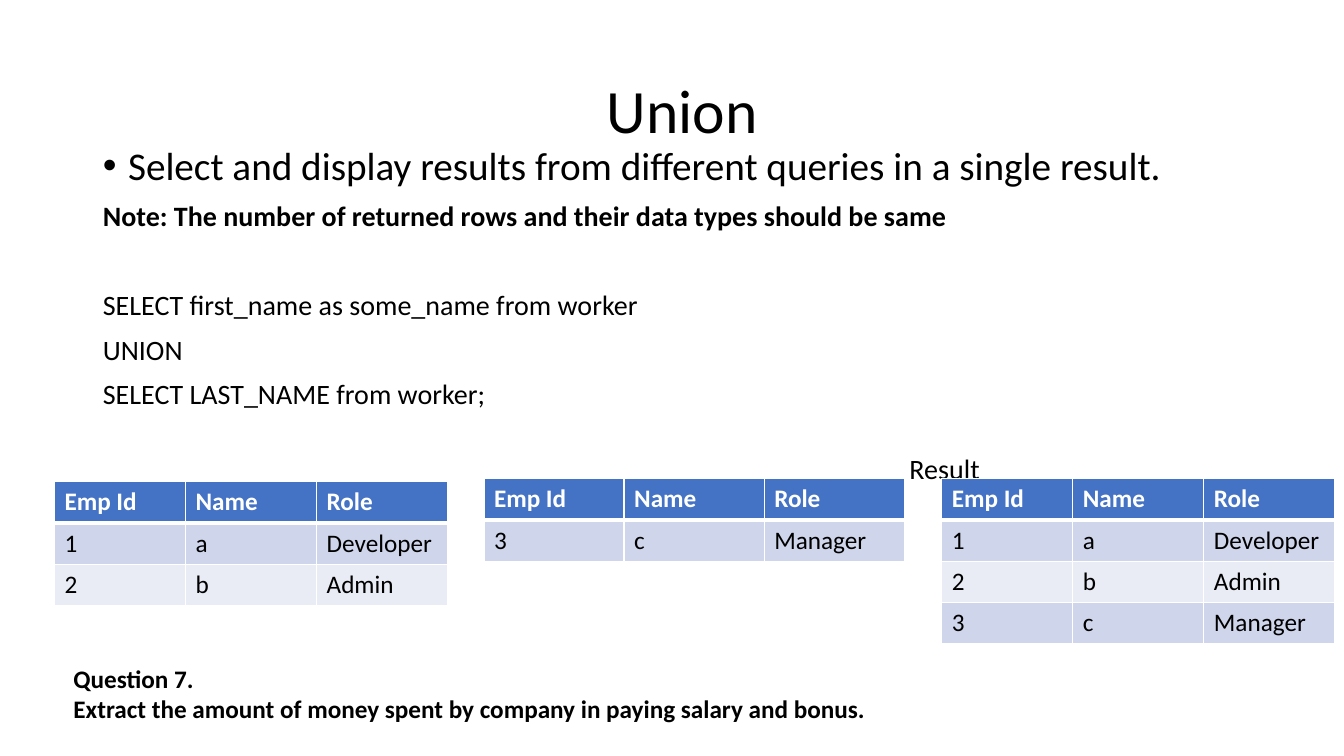
from dataclasses import dataclass
from typing import Any

from lxml import etree
from pptx import Presentation
from pptx import util as u
from pptx.dml.color import RGBColor
from pptx.enum import text
from pptx.oxml import ns

PX = 9144  # EMU per px, 100 px to the inch
FONT = "Calibri"
COLORS = {
    "text": "000000",
    "white": "FFFFFF",
    "head": "4472C4",
    "odd": "CFD5EA",
    "even": "E9EBF5",
}


@dataclass
class Line:
    words: str
    size: int = 20
    bold: bool = False
    left: int = 0
    hang: int = 0
    before: int = 10
    space: float = 0.9


@dataclass
class Grid:
    left: int
    top: int
    col: int
    rows: list[tuple[str, str, str]]


ROW = 41
HEAD = ("Emp Id", "Name", "Role")
FIRST = [("1", "a", "Developer"), ("2", "b", "Admin")]
SECOND = [("3", "c", "Manager")]
GRIDS = [
    Grid(54, 478, 130, FIRST),
    Grid(480, 475, 139, SECOND),
    Grid(934, 475, 130, FIRST + SECOND),
]

TITLE = [Line("Union", size=44, left=500, before=0)]
BODY = [
    Line("Select and display results from different queries in a single result.",
         size=28, left=25, hang=25),
    Line("Note: The number of returned rows and their data types should be same",
         bold=True),
    Line("SELECT first_name as some_name from worker", before=42),
    Line("UNION"),
    Line("SELECT LAST_NAME from worker;"),
    Line("Result", left=800, before=32),
]
TASK = [
    Line(words, size=18, bold=True, before=0, space=1.0)
    for words in (
        "Question 7.",
        "Extract the amount of money spent by company in paying salary and bonus.",
    )
]


def paint(font: Any, size: int, bold: bool, color: str) -> None:
    font.name = FONT
    font.size = u.Pt(size)
    font.bold = bold
    font.color.rgb = RGBColor.from_string(COLORS[color])


def place(shape: Any, left: int, top: int, width: int, height: int) -> None:
    shape.left, shape.top = left * PX, top * PX
    shape.width, shape.height = width * PX, height * PX


def write(frame: Any, lines: list[Line]) -> None:
    frame.word_wrap = True
    frame.auto_size = text.MSO_AUTO_SIZE.NONE
    for i, line in enumerate(lines):
        para = frame.add_paragraph() if i else frame.paragraphs[0]
        para.text = line.words
        para.alignment = text.PP_ALIGN.LEFT
        # Indent and bullet
        props = para._p.get_or_add_pPr()
        props.set("marL", str(line.left * PX))
        props.set("indent", str(-line.hang * PX))
        if line.hang:
            etree.SubElement(props, ns.qn("a:buChar")).set("char", "•")
        else:
            etree.SubElement(props, ns.qn("a:buNone"))
        para.line_spacing = line.space
        para.space_before = u.Pt(line.before)
        paint(para.font, line.size, line.bold, "text")


def edge(cell: Any, row: int) -> None:
    props = cell._tc.get_or_add_tcPr()
    thick = {"T": 3 if row == 1 else 1, "B": 3 if row == 0 else 1}
    for side in "LRTB":
        rim = etree.SubElement(props, ns.qn(f"a:ln{side}"))
        rim.set("w", str(u.Pt(thick.get(side, 1))))
        fill = etree.SubElement(rim, ns.qn("a:solidFill"))
        etree.SubElement(fill, ns.qn("a:srgbClr")).set("val", COLORS["white"])


def draw(slide: Any, grid: Grid) -> None:
    rows = [HEAD] + grid.rows
    table = slide.shapes.add_table(
        len(rows), len(HEAD), grid.left * PX, grid.top * PX,
        grid.col * len(HEAD) * PX, ROW * len(rows) * PX,
    ).table
    for col in table.columns:
        col.width = grid.col * PX
    for r, row in enumerate(rows):
        shade = "head" if r == 0 else "odd" if r % 2 else "even"
        for c, words in enumerate(row):
            cell = table.cell(r, c)
            cell.text = words
            edge(cell, r)
            cell.fill.solid()
            cell.fill.fore_color.rgb = RGBColor.from_string(COLORS[shade])
            paint(cell.text_frame.paragraphs[0].font, 18, r == 0,
                  "text" if r else "white")


def main() -> None:
    deck = Presentation()
    deck.slide_width, deck.slide_height = 1333 * PX, 750 * PX
    slide = deck.slides.add_slide(deck.slide_layouts[1])

    # Title and list
    title, body = slide.placeholders
    place(title, 92, 40, 1150, 145)
    write(title.text_frame, TITLE)
    place(body, 92, 140, 1150, 476)
    write(body.text_frame, BODY)

    # Source tables and their union
    for grid in GRIDS:
        draw(slide, grid)

    # Exercise
    box = slide.shapes.add_textbox(63 * PX, 653 * PX, 1048 * PX, 92 * PX)
    write(box.text_frame, TASK)

    deck.save("out.pptx")


if __name__ == "__main__":
    main()
